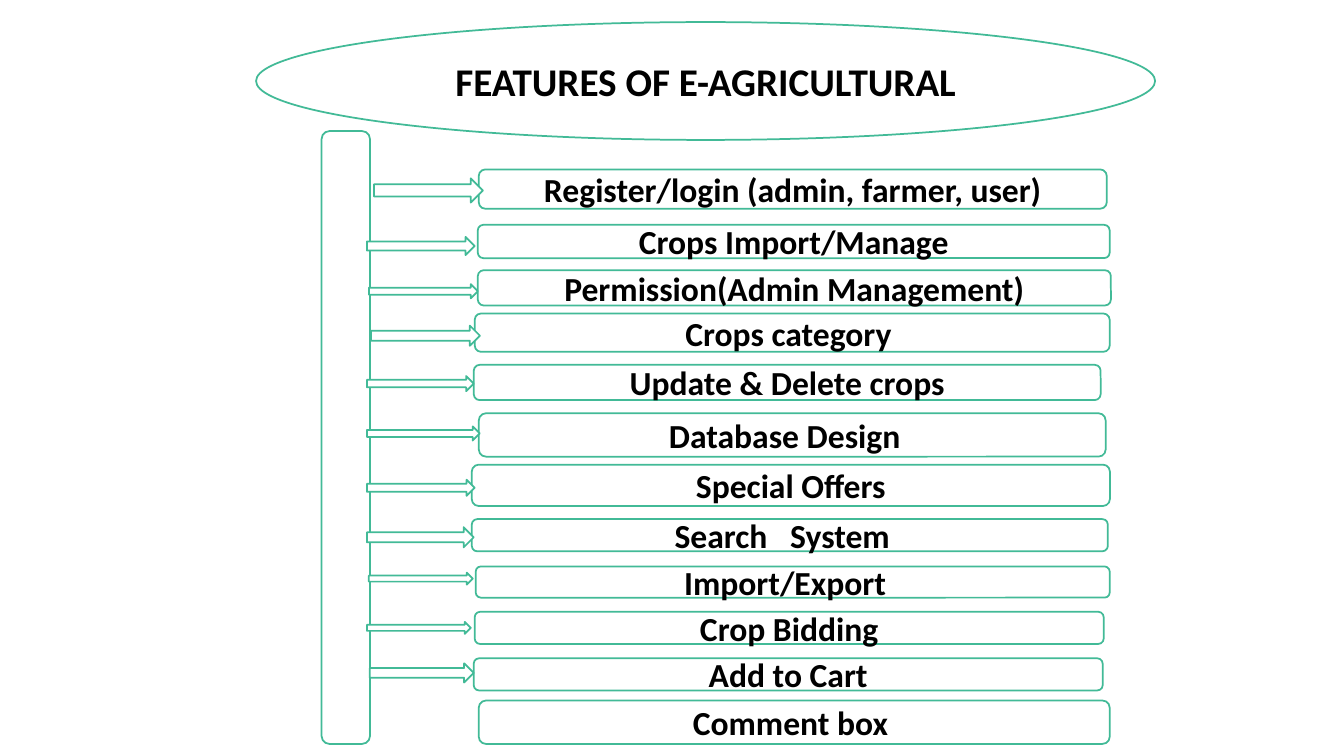
from pptx import Presentation
from pptx.dml.color import RGBColor
from pptx.enum.shapes import MSO_SHAPE
from pptx.enum.text import MSO_ANCHOR, PP_ALIGN
from pptx.util import Pt

# Label, box (left, top, width, height), arrow (left, top, width, height)
FEATURES = [
    ("Register/login (admin, farmer, user)", (342, 121, 448.6, 28.1), (267.1, 127.4, 77.8, 17.3)),
    ("Crops Import/Manage", (341.3, 160.6, 451.4, 23.8), (262.1, 169.2, 77, 13)),
    ("Permission(Admin Management)", (341.3, 193, 452.2, 25.2), (263.5, 203, 77.8, 10.1)),
    ("Crops category ", (339.1, 223.9, 453.6, 27.4), (265, 232.6, 77.8, 14.4)),
    ("Update & Delete crops", (338.4, 260.6, 447.8, 25.2), (262.1, 268.6, 76.3, 10.8)),
    ("Database Design  ", (342, 295.2, 447.8, 31), (262.1, 304.6, 80.6, 10.1)),
    ("Special Offers", (337, 331.9, 455.8, 29.5), (262.1, 342.7, 77, 11.5)),
    ("Search   System  ", (337, 370.8, 454.3, 23), (262.1, 376.6, 76.3, 14.4)),
    ("Import/Export  ", (339.8, 404.6, 452.9, 22.3), (263.5, 409, 74.2, 8.6)),
    ("Crop Bidding", (339.1, 437, 449.3, 23), (262.1, 444.2, 74.2, 8.6)),
    ("Add to Cart", (338.4, 470.2, 449.3, 23), (264.2, 473.8, 74.2, 13.7)),
    ("Comment box ", (342, 500.4, 450.7, 31), None),
]


def color(hex_string):
    return RGBColor.from_string(hex_string)


class FeatureSlide:
    font_name = "Calibri"
    text_color = "000000"
    fill_color = "FFFFFF"
    line_color = "42BA97"
    line_width = 1.25

    def __init__(self, presentation):
        self.slide = presentation.slides.add_slide(presentation.slide_layouts[6])

    def outline(self, kind, bounds):
        """Add a white preset shape with a green outline."""
        shape = self.slide.shapes.add_shape(kind, *(Pt(length) for length in bounds))
        shape.shadow.inherit = False
        shape.fill.solid()
        shape.fill.fore_color.rgb = color(self.fill_color)
        shape.line.color.rgb = color(self.line_color)
        shape.line.width = Pt(self.line_width)
        return shape

    def label(self, shape, text, size):
        text_frame = shape.text_frame
        text_frame.text = text
        text_frame.word_wrap = True
        text_frame.vertical_anchor = MSO_ANCHOR.MIDDLE
        paragraph = text_frame.paragraphs[0]
        paragraph.alignment = PP_ALIGN.CENTER
        font = paragraph.runs[0].font
        font.name = self.font_name
        font.size = Pt(size)
        font.bold = True
        font.color.rgb = color(self.text_color)

    def title(self, text, bounds):
        self.label(self.outline(MSO_SHAPE.OVAL, bounds), text, 28)

    def box(self, text, bounds):
        self.label(self.outline(MSO_SHAPE.ROUNDED_RECTANGLE, bounds), text, 24)

    def trunk(self, bounds):
        self.outline(MSO_SHAPE.ROUNDED_RECTANGLE, bounds)

    def arrow(self, bounds):
        self.outline(MSO_SHAPE.RIGHT_ARROW, bounds)


def main():
    presentation = Presentation()
    presentation.slide_width = Pt(960)
    presentation.slide_height = Pt(540)

    features = FeatureSlide(presentation)
    features.title("FEATURES OF E-AGRICULTURAL", (182.9, 15.8, 642.2, 84.2))
    features.trunk((229.7, 93.6, 34.6, 437.8))
    for text, box_bounds, arrow_bounds in FEATURES:
        features.box(text, box_bounds)
        if arrow_bounds:
            features.arrow(arrow_bounds)

    presentation.save("out.pptx")


if __name__ == "__main__":
    main()
